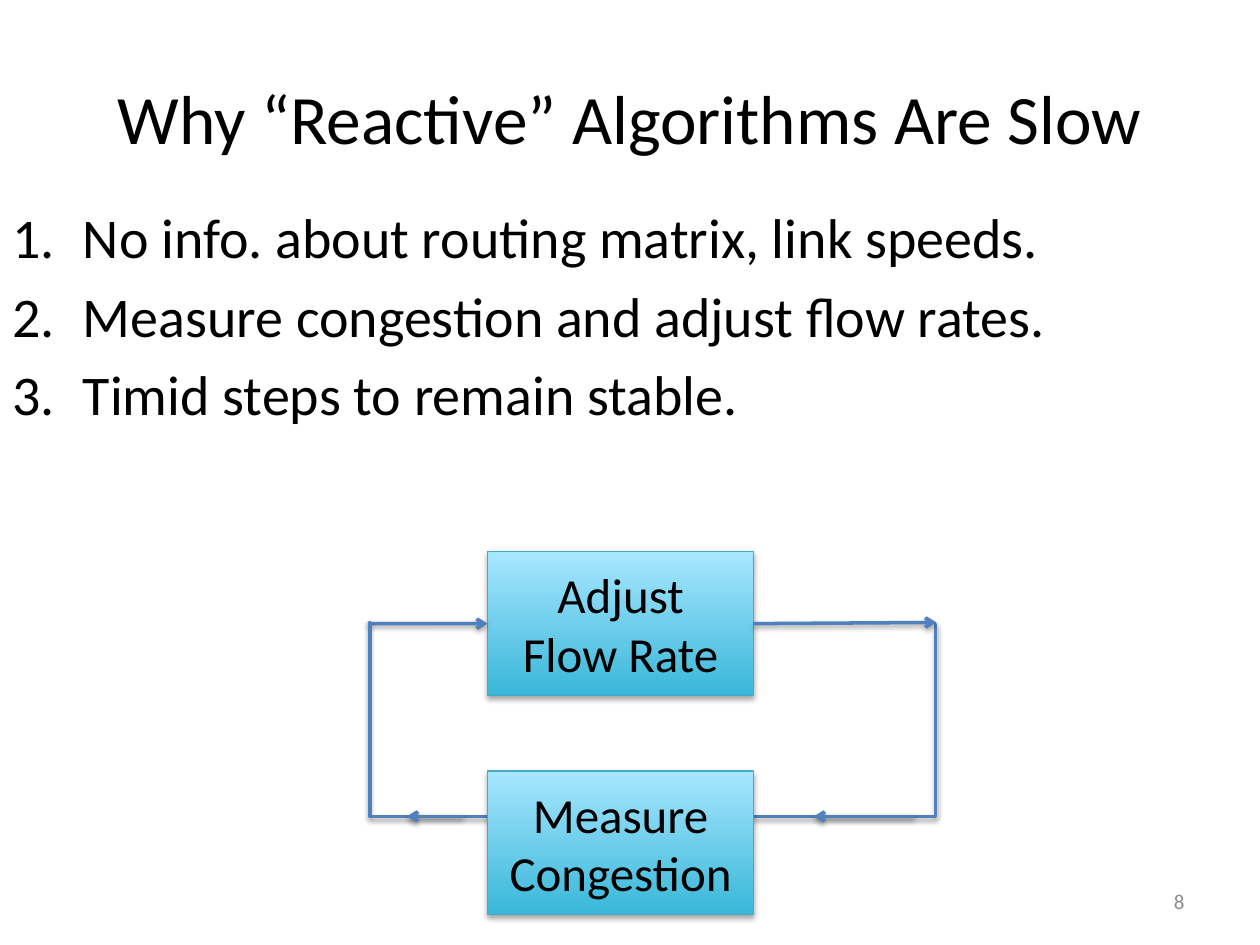
"""Build a slide on the feedback loop that makes reactive algorithms slow."""
from lxml import etree
from pptx import Presentation
from pptx.dml.color import RGBColor
from pptx.enum.shapes import MSO_CONNECTOR, MSO_SHAPE
from pptx.enum.text import MSO_ANCHOR, PP_ALIGN
from pptx.oxml.ns import qn
from pptx.util import Emu, Inches, Pt

LEFT, CENTER, RIGHT = PP_ALIGN.LEFT, PP_ALIGN.CENTER, PP_ALIGN.RIGHT
TOP, MIDDLE = MSO_ANCHOR.TOP, MSO_ANCHOR.MIDDLE
STRAIGHT, ELBOW = MSO_CONNECTOR.STRAIGHT, MSO_CONNECTOR.ELBOW
RECT = MSO_SHAPE.RECTANGLE

BLACK = RGBColor(0x00, 0x00, 0x00)
GRAY = RGBColor(0x8C, 0x8C, 0x8C)
BLUE = RGBColor(0x4F, 0x81, 0xBD)
BOX_EDGE = RGBColor(0x46, 0xAA, 0xC5)
BOX_DARK = RGBColor(0x39, 0xB7, 0xD8)
BOX_LIGHT = RGBColor(0xA7, 0xE6, 0xFF)

TITLE = "Why “Reactive” Algorithms Are Slow"
REASONS = [
    "No info. about routing matrix, link speeds.",
    "Measure congestion and adjust flow rates.",
    "Timid steps to remain stable.",
]
ADJUST = ["Adjust", "Flow Rate"]
MEASURE = ["Measure Congestion"]
PAGE = "8"

BOX_X, BOX_W, BOX_H = 3.87, 2.11, 1.14
ADJUST_Y, MEASURE_Y = 4.38, 6.12
BOX_RIGHT = BOX_X + BOX_W
UPPER_Y, LOWER_Y = ADJUST_Y + BOX_H / 2, 6.48
LOOP_LEFT, LOOP_RIGHT = 2.94, 7.43


def sub(parent, tag, **attrs):
    el = etree.SubElement(parent, qn(tag))
    for name, value in attrs.items():
        el.set(name, str(value))
    return el


def write(sp, lines, size, color=BLACK, align=LEFT, anchor=MIDDLE,
          numbered=False):
    tf = sp.text_frame
    tf.word_wrap = True
    tf.vertical_anchor = anchor
    for i, line in enumerate(lines):
        p = tf.add_paragraph() if i else tf.paragraphs[0]
        p.alignment = align
        if numbered:
            p.space_before = Pt(6.4 if i else 0)
            pPr = p._p.get_or_add_pPr()
            pPr.set("marL", str(Inches(0.56)))
            pPr.set("indent", str(Inches(-0.56)))
            sub(pPr, "a:buFont", typeface="+mj-lt")
            sub(pPr, "a:buAutoNum", type="arabicPeriod")
        r = p.add_run()
        r.text = line
        r.font.name = "Calibri"
        r.font.size = Pt(size)
        r.font.color.rgb = color


def add_text(s, at, lines, size, **fmt):
    sp = s.shapes.add_textbox(*map(Inches, at))
    write(sp, lines, size, **fmt)


def add_shadow(effects, dist, alpha):
    shadow = sub(effects, "a:outerShdw", blurRad=Pt(3.1), dist=Pt(dist),
                 dir=90 * 60000, rotWithShape=0)
    color = sub(shadow, "a:srgbClr", val="000000")
    sub(color, "a:alpha", val=alpha * 1000)


def add_box(s, y, lines):
    sp = s.shapes.add_shape(RECT, *map(Inches, (BOX_X, y, BOX_W, BOX_H)))
    sp.fill.gradient()
    sp.fill.gradient_angle = 90
    stops = zip(sp.fill.gradient_stops, (0, 1), (BOX_DARK, BOX_LIGHT))
    for stop, position, color in stops:
        stop.position = position
        stop.color.rgb = color
    sp.line.color.rgb = BOX_EDGE
    sp.line.width = Pt(0.75)
    sp.shadow.inherit = False
    add_shadow(sp._element.spPr.find(qn("a:effectLst")), 1.8, 35)
    write(sp, lines, 28, align=CENTER)
    return sp


def add_line(s, start, end, kind=STRAIGHT, arrow=True, bend=None):
    cn = s.shapes.add_connector(kind, *map(Inches, start + end))
    cn.line.color.rgb = BLUE
    cn.line.width = Pt(2)
    spPr = cn._element.spPr
    if arrow:
        sub(cn.line._get_or_add_ln(), "a:tailEnd", type="arrow")
    if bend is not None:
        guides = spPr.find(qn("a:prstGeom")).get_or_add_avLst()
        sub(guides, "a:gd", name="adj1", fmla=f"val {bend}")
    add_shadow(sub(spPr, "a:effectLst"), 1.6, 38)
    return cn


def main():
    prs = Presentation()
    prs.slide_width, prs.slide_height = Inches(10), Inches(7.5)
    s = prs.slides.add_slide(prs.slide_layouts[6])

    add_text(s, (0.5, 0.3, 9, 1.25), [TITLE], 39.6, align=CENTER)
    add_text(s, (0, 1.56, 10, 2.78), REASONS, 32, anchor=TOP, numbered=True)

    add_line(s, (LOOP_RIGHT, UPPER_Y), (4.53, LOWER_Y), ELBOW, bend=200)
    adjust = add_box(s, ADJUST_Y, ADJUST)
    into = add_line(s, (2.92, UPPER_Y), (BOX_X, UPPER_Y))
    into.end_connect(adjust, 1)
    out = add_line(s, (BOX_RIGHT, UPPER_Y), (LOOP_RIGHT, 4.94))
    out.begin_connect(adjust, 3)
    add_line(s, (4.54, LOWER_Y), (LOOP_LEFT, 4.94), ELBOW, arrow=False,
             bend=100200)
    add_box(s, MEASURE_Y, MEASURE)
    for start_x, end_x in ((7.26, 6.46), (3.68, 3.23)):
        add_line(s, (start_x, LOWER_Y), (end_x, LOWER_Y))

    add_text(s, (7.17, 6.95, 2.33, 0.4), [PAGE], 12, color=GRAY, align=RIGHT)
    prs.save("out.pptx")


if __name__ == "__main__":
    main()
